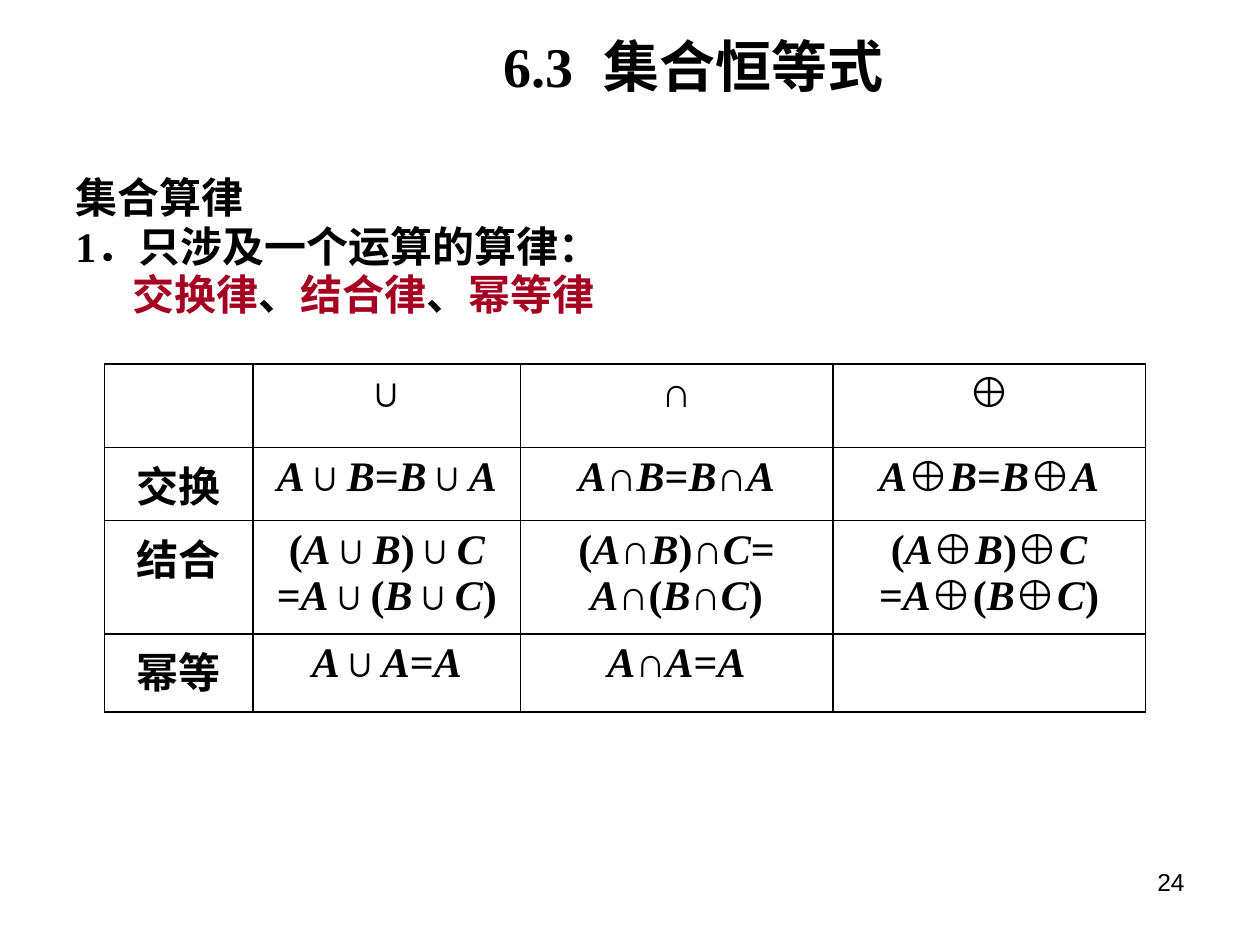
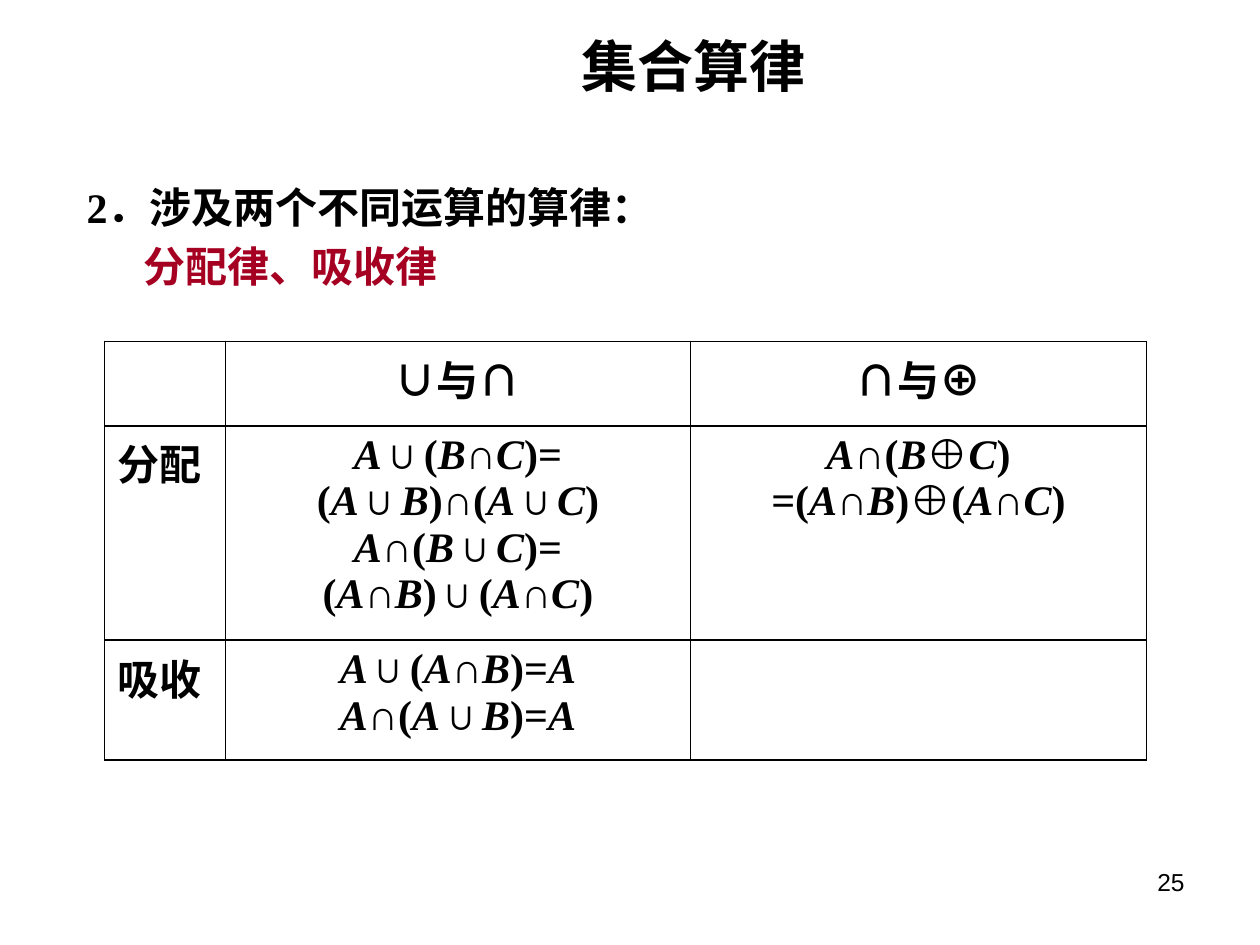
from dataclasses import dataclass
from itertools import groupby

from pptx import Presentation
from pptx.dml.color import RGBColor
from pptx.enum.text import MSO_ANCHOR, PP_ALIGN
from pptx.oxml import parse_xml
from pptx.oxml.ns import nsdecls, qn
from pptx.util import Inches, Pt

COLORS = {"ink": "000000", "law": "A50021", "paper": "FFFFFF"}
SERIF, SANS, HAN = "Times New Roman", "Arial", "Noto Sans CJK SC"


@dataclass
class Span:
    text: str
    color: str = "ink"
    font: str = SERIF
    size: float = 24
    bold: bool = True
    italic: bool = False
    east_font: str = SANS
    tracking: float = 0


@dataclass
class Line:
    spans: list[Span]
    indent: float = 0


@dataclass
class LawTable:
    top: float
    columns: list[float]
    rows: list[float]
    cells: list[list[str]]
    label_align: PP_ALIGN


@dataclass
class LawPage:
    number: int
    title: list[Span]
    intro: list[Line]
    intro_height: float
    line_spacing: float
    table: LawTable


def add_span(para, span: Span) -> None:
    run = para.add_run()
    run.text = span.text
    font = run.font
    font.name, font.size = span.font, Pt(span.size)
    font.bold, font.italic = span.bold, span.italic
    font.color.rgb = RGBColor.from_string(COLORS[span.color])
    properties = run._r.get_or_add_rPr()
    if span.tracking:
        properties.set("spc", str(int(span.tracking * 100)))
    east = parse_xml(f'<a:ea {nsdecls("a")} typeface="{span.east_font}"/>')
    properties.find(qn("a:latin")).addnext(east)


def add_box(page, left: float, top: float, width: float, height: float):
    box = page.shapes.add_textbox(Inches(left), Inches(top), Inches(width), Inches(height))
    box.text_frame.word_wrap = True
    return box.text_frame


def add_line(page, place: tuple[float, float, float, float], spans: list[Span],
             align: PP_ALIGN, anchor: MSO_ANCHOR) -> None:
    frame = add_box(page, *place)
    frame.vertical_anchor = anchor
    para = frame.paragraphs[0]
    para.alignment = align
    for span in spans:
        add_span(para, span)


def add_intro(page, law_page: LawPage) -> None:
    frame = add_box(page, 0.5, 1.39, 9, law_page.intro_height)
    for index, line in enumerate(law_page.intro):
        para = frame.add_paragraph() if index else frame.paragraphs[0]
        para._p.get_or_add_pPr().set("marL", str(Inches(line.indent)))
        para.line_spacing = law_page.line_spacing
        para.space_before = Pt(4.8 if index else 0)
        for span in line.spans:
            add_span(para, span)


def is_han(char: str) -> bool:
    return "一" <= char <= "龥"


def formula_spans(text: str) -> list[Span]:
    """Set names are italic, Chinese words use the Chinese font."""
    east_font = HAN if any(map(is_han, text)) else SERIF
    return [Span("".join(chars), font=HAN if han else SERIF, italic=name, east_font=east_font)
            for (han, name), chars in groupby(text, lambda c: (is_han(c), c.isupper()))]


def frame_cell(cell) -> None:
    cell.fill.background()
    properties = cell._tc.get_or_add_tcPr()
    for index, side in enumerate(("lnL", "lnR", "lnT", "lnB")):
        properties.insert(index, parse_xml(
            f'<a:{side} {nsdecls("a")} w="{Pt(1)}"><a:solidFill>'
            f'<a:srgbClr val="{COLORS["ink"]}"/></a:solidFill></a:{side}>'))


def add_law_table(page, law: LawTable) -> None:
    table = page.shapes.add_table(
        len(law.rows), len(law.columns), Inches(0.83), Inches(law.top),
        Inches(sum(law.columns)), Inches(sum(law.rows))).table
    table.first_row = table.horz_banding = False
    for column, width in zip(table.columns, law.columns):
        column.width = Inches(width)
    for row, height, texts in zip(table.rows, law.rows, law.cells):
        row.height = Inches(height)
        for index, (cell, text) in enumerate(zip(row.cells, texts)):
            frame_cell(cell)
            if not text:
                continue
            frame = cell.text_frame
            for number, formula in enumerate(text.split("\n")):
                para = frame.add_paragraph() if number else frame.paragraphs[0]
                para.alignment = PP_ALIGN.CENTER if index else law.label_align
                for span in formula_spans(formula):
                    add_span(para, span)


def add_page(deck, law_page: LawPage) -> None:
    page = deck.slides.add_slide(deck.slide_layouts[6])
    page.background.fill.solid()
    page.background.fill.fore_color.rgb = RGBColor.from_string(COLORS["paper"])
    number = Span(str(law_page.number), font=SANS, size=14, bold=False)
    add_line(page, (7.17, 6.83, 2.33, 0.52), [number], PP_ALIGN.RIGHT, MSO_ANCHOR.TOP)
    add_line(page, (2.16, 0.29, 6.69, 0.46), law_page.title, PP_ALIGN.CENTER, MSO_ANCHOR.MIDDLE)
    add_intro(page, law_page)
    add_law_table(page, law_page.table)


PAGES = [
    # Laws with one operation
    LawPage(
        24,
        [Span("6.3", size=32), Span(" ", size=32, tracking=8.6),
         Span("集合恒等式", font=SANS, size=32)],
        [Line([Span("集合算律")]),
         Line([Span("1．只涉及一个运算的算律：")]),
         Line([Span("交换律", "law"), Span("、"), Span("结合律", "law"),
               Span("、"), Span("幂等律", "law")], 0.45)],
        1.26, 0.8,
        LawTable(2.89, [1.18, 2.12, 2.48, 2.48], [0.66, 0.58, 0.9, 0.62], [
            ["", "∪", "∩", "⊕"],
            ["交换", "A∪B=B∪A", "A∩B=B∩A", "A⊕B=B⊕A"],
            ["结合", "(A∪B)∪C\n=A∪(B∪C)", "(A∩B)∩C=\nA∩(B∩C)", "(A⊕B)⊕C\n=A⊕(B⊕C)"],
            ["幂等", "A∪A=A", "A∩A=A", ""],
        ], PP_ALIGN.CENTER)),
    # Laws with two operations
    LawPage(
        25,
        [Span("集合算律", font=SANS, size=32)],
        [Line([Span("2．涉及两个不同运算的算律：")], 0.09),
         Line([Span("分配律、吸收律", "law")], 0.54)],
        1.02, 1.0,
        LawTable(2.71, [0.96, 3.69, 3.62], [0.67, 1.7, 0.95], [
            ["", "∪与∩", "∩与⊕"],
            ["分配", "A∪(B∩C)=\n(A∪B)∩(A∪C)\nA∩(B∪C)=\n(A∩B)∪(A∩C)",
             "A∩(B⊕C)\n=(A∩B)⊕(A∩C)"],
            ["吸收", "A∪(A∩B)=A\nA∩(A∪B)=A", ""],
        ], PP_ALIGN.LEFT)),
]


def main() -> None:
    deck = Presentation()
    deck.slide_width, deck.slide_height = Inches(10), Inches(7.5)
    for law_page in PAGES:
        add_page(deck, law_page)
    deck.save("out.pptx")


if __name__ == "__main__":
    main()
